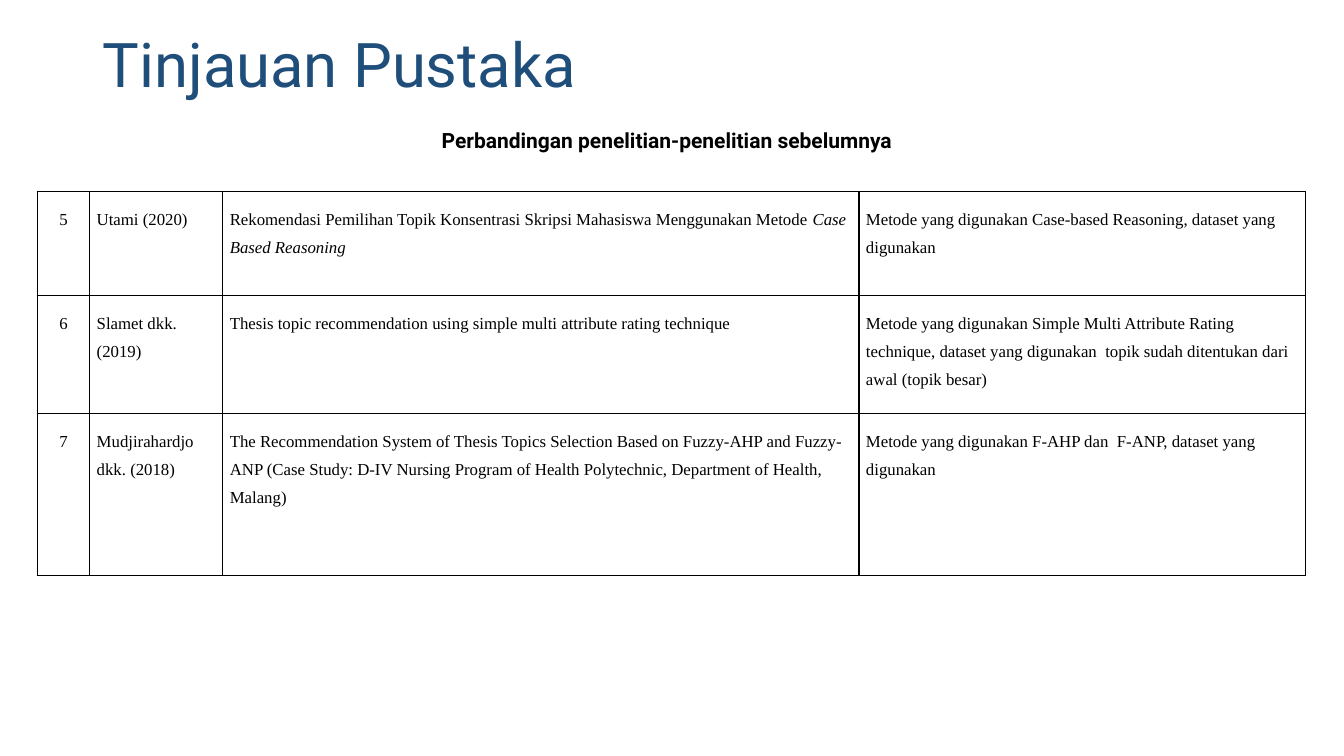
import dataclasses

import lxml.etree
import pptx
import pptx.dml.color
import pptx.enum.text
import pptx.oxml.ns
import pptx.slide
import pptx.table
import pptx.text.text
import pptx.util

ALIGN = pptx.enum.text.PP_ALIGN
ANCHOR = pptx.enum.text.MSO_ANCHOR
BLACK = "000000"
WIDTHS = (52, 132, 631, 443)
HEIGHTS = (103, 117, 161)


@dataclasses.dataclass
class Study:
    num: str
    author: str
    title: str
    method: str
    accent: str = ""


@dataclasses.dataclass
class Label:
    text: str
    box: tuple[int, int, int, int]
    size: int
    color: str
    bold: bool
    align: ALIGN
    anchor: ANCHOR
    inset: int
    pitch: float


STUDIES = (
    Study("5", "Utami (2020)",
          "Rekomendasi Pemilihan Topik Konsentrasi Skripsi Mahasiswa Menggunakan Metode ",
          "Metode yang digunakan Case-based Reasoning, dataset yang digunakan",
          "Case Based Reasoning"),
    Study("6", "Slamet dkk. (2019)",
          "Thesis topic recommendation using simple multi attribute rating technique",
          "Metode yang digunakan Simple Multi Attribute Rating technique, "
          "dataset yang digunakan  topik sudah ditentukan dari awal (topik besar)"),
    Study("7", "Mudjirahardjo dkk. (2018)",
          "The Recommendation System of Thesis Topics Selection Based on Fuzzy-AHP and "
          "Fuzzy-ANP (Case Study: D-IV Nursing Program of Health Polytechnic, "
          "Department of Health, Malang)",
          "Metode yang digunakan F-AHP dan  F-ANP, dataset yang digunakan"),
)

LABELS = (
    Label("Tinjauan Pustaka", (92, -6, 1150, 145), 44, "1E4E79", False,
          ALIGN.LEFT, ANCHOR.MIDDLE, 5, 0.9),
    Label("Perbandingan penelitian-penelitian sebelumnya", (371, 117, 581, 37), 15,
          BLACK, True, ALIGN.CENTER, ANCHOR.TOP, 10, 1.0),
)


def px(count: int) -> pptx.util.Emu:
    return pptx.util.Emu(count * 9144)


def paint(code: str) -> pptx.dml.color.RGBColor:
    return pptx.dml.color.RGBColor.from_string(code)


def style(para: pptx.text.text._Paragraph, face: str, size: int, color: str,
          align: ALIGN, pitch: float) -> None:
    para.alignment = align
    para.line_spacing = pitch
    para.font.name = face
    para.font.size = pptx.util.Pt(size)
    para.font.color.rgb = paint(color)


def write(slide: pptx.slide.Slide, label: Label) -> None:
    frame = slide.shapes.add_textbox(*map(px, label.box)).text_frame
    frame.word_wrap = True
    frame.vertical_anchor = label.anchor
    frame.margin_left = frame.margin_right = px(10)
    frame.margin_top = frame.margin_bottom = px(label.inset)
    para = frame.paragraphs[0]
    para.text = label.text
    style(para, "Roboto", label.size, label.color, label.align, label.pitch)
    para.font.bold = label.bold


def border(cell: pptx.table._Cell) -> None:
    props = cell._tc.get_or_add_tcPr()
    name = pptx.oxml.ns.qn
    for spot, side in enumerate(("a:lnL", "a:lnR", "a:lnT", "a:lnB")):
        line = lxml.etree.Element(name(side), w=str(pptx.util.Pt(1)))
        fill = lxml.etree.SubElement(line, name("a:solidFill"))
        lxml.etree.SubElement(fill, name("a:srgbClr"), val=BLACK)
        props.insert(spot, line)


def fill(cell: pptx.table._Cell, text: str, align: ALIGN, accent: str) -> None:
    cell.fill.background()
    border(cell)
    cell.margin_left = cell.margin_right = px(7)
    cell.margin_top = cell.margin_bottom = px(10)
    para = cell.text_frame.paragraphs[0]
    para.text = text
    if accent:
        run = para.add_run()
        run.text = accent
        run.font.italic = True
    style(para, "Times New Roman", 12, BLACK, align, 1.5)


def compare(slide: pptx.slide.Slide) -> None:
    table = slide.shapes.add_table(
        len(STUDIES), len(WIDTHS), px(37), px(190),
        px(sum(WIDTHS)), px(sum(HEIGHTS))).table
    table.first_row = table.horz_banding = False
    for column, width in zip(table.columns, WIDTHS):
        column.width = px(width)
    for row, height, study in zip(table.rows, HEIGHTS, STUDIES):
        row.height = px(height)
        num, author, title, method = row.cells
        fill(num, study.num, ALIGN.CENTER, "")
        fill(author, study.author, ALIGN.LEFT, "")
        fill(title, study.title, ALIGN.LEFT, study.accent)
        fill(method, study.method, ALIGN.LEFT, "")


def main() -> None:
    deck = pptx.Presentation()
    deck.slide_width, deck.slide_height = px(1333), px(750)
    slide = deck.slides.add_slide(deck.slide_layouts[6])
    compare(slide)
    for label in LABELS:
        write(slide, label)
    deck.save("out.pptx")


if __name__ == "__main__":
    main()
